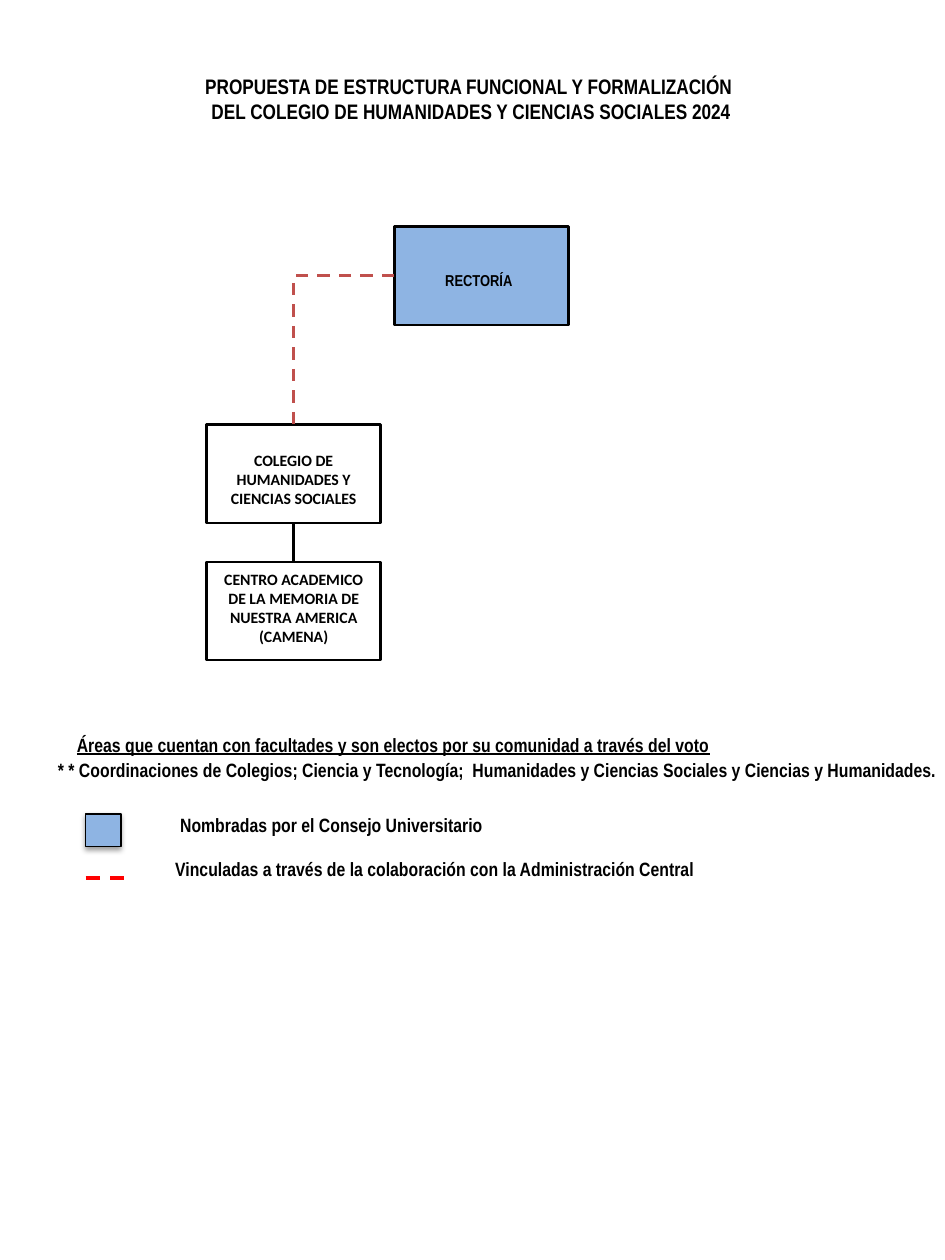
from pptx import Presentation
from pptx.dml.color import RGBColor
from pptx.enum.dml import MSO_LINE
from pptx.enum.shapes import MSO_CONNECTOR, MSO_SHAPE
from pptx.enum.text import MSO_ANCHOR, PP_ALIGN
from pptx.oxml import parse_xml
from pptx.oxml.ns import nsdecls, qn
from pptx.util import Inches, Pt

RECTANGLE, PROCESS = MSO_SHAPE.RECTANGLE, MSO_SHAPE.FLOWCHART_PROCESS
STRAIGHT, ELBOW = MSO_CONNECTOR.STRAIGHT, MSO_CONNECTOR.ELBOW
TOP, MIDDLE = MSO_ANCHOR.TOP, MSO_ANCHOR.MIDDLE
LEFT, CENTER = PP_ALIGN.LEFT, PP_ALIGN.CENTER
DASH = MSO_LINE.DASH

COLORS = {"ink": "000000", "appointed": "8EB4E3", "linked": "C0504D", "key": "FF0000"}
NARROW, SANS = "Arial Narrow", "Calibri"

# The slide is a grid of 75 columns by 100 rows
COLUMNS, ROWS = 75, 100
CELL = Inches(0.1)
NODE_WIDTH, NODE_HEIGHT = 13.8, 7.8


def cells(*counts):
    return [round(count * CELL) for count in counts]


def color(name):
    return RGBColor.from_string(COLORS[name])


def write(frame, lines, font, size, align=LEFT, anchor=TOP,
          insets=(1, 0.5, 1, 0.5), underline=None):
    """Fill a text frame; insets are left, top, right, bottom in cells."""
    frame.word_wrap = True
    frame.vertical_anchor = anchor
    (frame.margin_left, frame.margin_top,
     frame.margin_right, frame.margin_bottom) = cells(*insets)
    for index, line in enumerate(lines):
        paragraph = frame.add_paragraph() if index else frame.paragraphs[0]
        paragraph.alignment = align
        run = paragraph.add_run()
        run.text = line
        run.font.name = font
        run.font.size = Pt(size)
        run.font.bold = True
        run.font.underline = underline
        run.font.color.rgb = color("ink")


def add_box(slide, kind, box, line_width, fill=None):
    shape = slide.shapes.add_shape(kind, *cells(*box))
    shape.shadow.inherit = False
    if fill:
        shape.fill.solid()
        shape.fill.fore_color.rgb = color(fill)
    else:
        shape.fill.background()
    shape.line.color.rgb = color("ink")
    shape.line.width = Pt(line_width)
    return shape


def add_line(slide, kind, ends, line_color, width, dash=None):
    connector = slide.shapes.add_connector(kind, *cells(*ends))
    connector.line.color.rgb = color(line_color)
    connector.line.width = Pt(width)
    if dash:
        connector.line.dash_style = dash
    properties = connector._element.spPr
    properties.append(parse_xml(f"<a:effectLst {nsdecls('a')}/>"))
    return connector


def add_note(slide, box, text, left_inset=2.5, underline=None):
    note = slide.shapes.add_textbox(*cells(*box))
    write(note.text_frame, [text], NARROW, 11,
          insets=(left_inset, 1.2, 2.5, 1.2), underline=underline)


def build_title(slide, box):
    title = slide.shapes.title
    title.left, title.top, title.width, title.height = cells(*box)
    write(title.text_frame,
          ["PROPUESTA DE ESTRUCTURA FUNCIONAL Y FORMALIZACIÓN ",
           "DEL COLEGIO DE HUMANIDADES Y CIENCIAS SOCIALES 2024"],
          NARROW, 12, CENTER)


def build_organization(slide, box):
    left, top, width, height = box
    right, bottom = left + width, top + height
    nodes = [
        (PROCESS, right - NODE_WIDTH, top, "appointed", NARROW,
         ["RECTORÍA"], (0.4, 1, 0.8, 0.4)),
        (RECTANGLE, left, top + 15.7, None, SANS,
         ["COLEGIO DE HUMANIDADES Y CIENCIAS SOCIALES"], (1, 1.3, 1, 0.5)),
        (RECTANGLE, left, bottom - NODE_HEIGHT, None, SANS,
         ["CENTRO ACADEMICO DE LA MEMORIA DE NUESTRA AMERICA", "(CAMENA)"],
         (1, 0.5, 1, 1.1)),
    ]
    shapes = []
    for kind, x, y, fill, font, lines, insets in nodes:
        shape = add_box(slide, kind, (x, y, NODE_WIDTH, NODE_HEIGHT), 1.5, fill)
        write(shape.text_frame, lines, font, 9, CENTER, MIDDLE, insets)
        shapes.append(shape)
    rector, college, center = shapes

    # Dashed collaboration link with a single bend
    middle = left + NODE_WIDTH / 2
    link = add_line(slide, ELBOW,
                    (right - NODE_WIDTH, top + NODE_HEIGHT / 2, middle, top + 15.7),
                    "linked", 1.75, DASH)
    link._element.spPr.find(qn("a:prstGeom")).set("prst", "bentConnector2")
    link.begin_connect(rector, 1)
    link.end_connect(college, 0)

    # Direct line of command
    command = add_line(slide, STRAIGHT,
                       (middle, top + 15.7 + NODE_HEIGHT, middle, bottom - NODE_HEIGHT),
                       "ink", 1.75)
    command.begin_connect(college, 2)
    command.end_connect(center, 0)


def build_notes(slide, box):
    left, top, width, height = box
    add_note(slide, (left + 1.5, top, 57.5, 4.4),
             "Áreas que cuentan con facultades y son electos por su comunidad "
             "a través del voto", underline=True)
    add_note(slide, (left, top + 2, width, height - 2),
             "* * Coordinaciones de Colegios; Ciencia y Tecnología;  Humanidades "
             "y Ciencias Sociales y Ciencias y Humanidades.")


def build_legend(slide, box):
    left, top, width, height = box
    # Filled swatch with a soft shadow
    swatch = add_box(slide, RECTANGLE, (left, top + 1, 2.8, 2.6), 0.75, "appointed")
    effects = swatch._element.spPr.find(qn("a:effectLst"))
    effects.append(parse_xml(
        f'<a:outerShdw {nsdecls("a")} blurRad="{Pt(3.1)}" dist="{Pt(1.6)}" '
        'dir="5400000" rotWithShape="0"><a:srgbClr val="000000">'
        '<a:alpha val="38000"/></a:srgbClr></a:outerShdw>'))
    add_note(slide, (left + 7.5, top, 28.4, 4.4),
             "Nombradas por el Consejo Universitario", 0)

    # Dashed sample
    sample = top + 6.1
    add_line(slide, STRAIGHT, (left, sample, left + 3.1, sample), "key", 2, DASH)
    add_note(slide, (left + 7.1, top + height - 4.4, width - 7.1, 4.4),
             "Vinculadas a través de la colaboración con la Administración Central", 0)


def main():
    presentation = Presentation()
    presentation.slide_width, presentation.slide_height = cells(COLUMNS, ROWS)
    slide = presentation.slides.add_slide(presentation.slide_layouts[5])
    build_title(slide, (12.3, 5.3, 50.2, 5))
    build_organization(slide, (16.4, 18, 28.7, 34.4))
    build_notes(slide, (2.1, 57.3, 78.2, 6.4))
    build_legend(slide, (6.8, 63.6, 52, 7.9))
    presentation.save("out.pptx")


if __name__ == "__main__":
    main()
